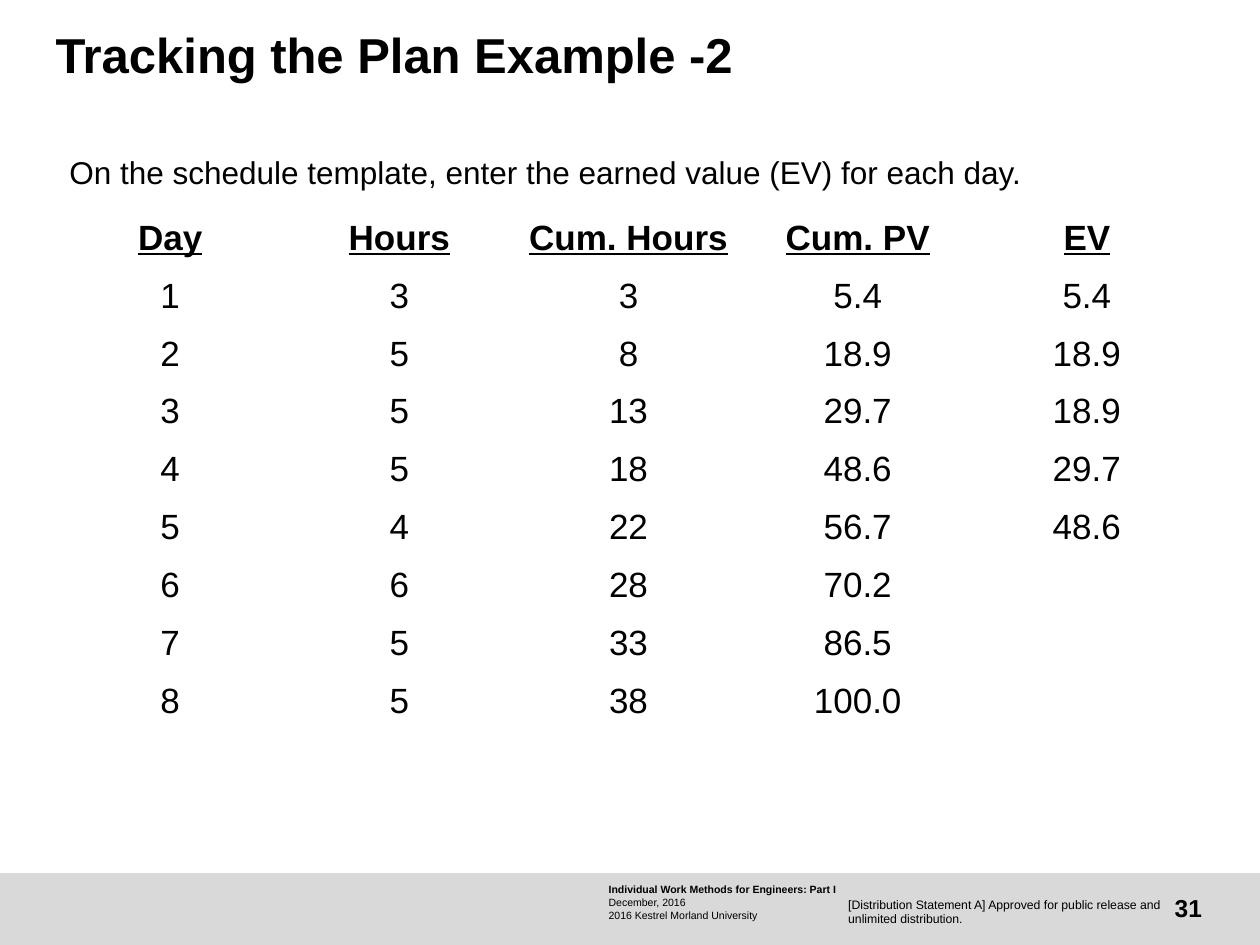
from dataclasses import dataclass

from pptx import Presentation
from pptx.dml.color import RGBColor
from pptx.enum.shapes import MSO_SHAPE as Shape
from pptx.enum.text import MSO_ANCHOR as Anchor, PP_ALIGN as Align
from pptx.slide import Slide
from pptx.util import Cm, Pt


@dataclass(frozen=True)
class Theme:
    font: str = "Arial"
    ink: RGBColor = RGBColor(0x00, 0x00, 0x00)
    paper: RGBColor = RGBColor(0xFF, 0xFF, 0xFF)
    footer: RGBColor = RGBColor(0xD9, 0xD9, 0xD9)
    title_size: int = 28
    body_size: int = 18
    table_size: int = 20
    number_size: int = 14
    statement_size: int = 7
    credit_size: int = 6


@dataclass(frozen=True)
class Box:
    left: float
    top: float
    width: float
    height: float

    def lengths(self) -> tuple[Cm, Cm, Cm, Cm]:
        return Cm(self.left), Cm(self.top), Cm(self.width), Cm(self.height)


@dataclass(frozen=True)
class TextBlock:
    box: Box
    lines: tuple[str, ...]
    size: int
    bold_lines: int = 0
    align: Align = Align.LEFT
    anchor: Anchor = Anchor.TOP
    spacing: float = 1.0
    inset_left: float = 0
    inset_top: float = 0


THEME = Theme()
FOOTER_BOX = Box(0, 17.6, 25.4, 1.45)
TABLE_BOX = Box(1.12, 4.22, 23.1, 10.5)

TEXT_BLOCKS = (
    TextBlock(
        Box(12.27, 17.81, 5.61, 0.76),
        (
            "Individual Work Methods for Engineers: Part I",
            "December, 2016",
            "2016 Kestrel Morland University",
        ),
        THEME.credit_size,
        bold_lines=1,
    ),
    TextBlock(
        Box(22.81, 17.78, 1.42, 1.02),
        ("31",),
        THEME.number_size,
        bold_lines=1,
        align=Align.RIGHT,
        anchor=Anchor.MIDDLE,
    ),
    TextBlock(
        Box(17.1, 18.08, 6.45, 0.61),
        ("[Distribution Statement A] Approved for public release and unlimited distribution.",),
        THEME.statement_size,
    ),
    TextBlock(
        Box(0.74, 3.02, 21, 1.19),
        ("On the schedule template, enter the earned value (EV) for each day.",),
        THEME.body_size,
        spacing=0.9,
        inset_left=0.66,
        inset_top=0.15,
    ),
    TextBlock(
        Box(1.12, 0.62, 21.1, 1.85),
        ("Tracking the Plan Example -2",),
        THEME.title_size,
        bold_lines=1,
        spacing=0.9,
    ),
)

SCHEDULE = (
    ("Day", "Hours", "Cum. Hours", "Cum. PV", "EV"),
    ("1", "3", "3", "5.4", "5.4"),
    ("2", "5", "8", "18.9", "18.9"),
    ("3", "5", "13", "29.7", "18.9"),
    ("4", "5", "18", "48.6", "29.7"),
    ("5", "4", "22", "56.7", "48.6"),
    ("6", "6", "28", "70.2", ""),
    ("7", "5", "33", "86.5", ""),
    ("8", "5", "38", "100.0", ""),
)


def format_runs(paragraph, size: int, bold: bool, underline: bool = False) -> None:
    for run in paragraph.runs:
        run.font.name = THEME.font
        run.font.size = Pt(size)
        run.font.bold = bold
        run.font.underline = underline
        run.font.color.rgb = THEME.ink


def draw_footer(slide: Slide) -> None:
    shape = slide.shapes.add_shape(Shape.RECTANGLE, *FOOTER_BOX.lengths())
    shape.shadow.inherit = False
    shape.fill.solid()
    shape.fill.fore_color.rgb = THEME.footer
    shape.line.fill.background()


def draw_text(slide: Slide, block: TextBlock) -> None:
    text_frame = slide.shapes.add_textbox(*block.box.lengths()).text_frame
    text_frame.word_wrap = True
    text_frame.vertical_anchor = block.anchor
    text_frame.margin_left = Cm(block.inset_left)
    text_frame.margin_top = Cm(block.inset_top)
    text_frame.margin_right = text_frame.margin_bottom = 0
    text_frame.text = "\n".join(block.lines)
    for index, paragraph in enumerate(text_frame.paragraphs):
        paragraph.alignment = block.align
        paragraph.line_spacing = block.spacing
        format_runs(paragraph, block.size, index < block.bold_lines)


def draw_schedule(slide: Slide, rows: tuple[tuple[str, ...], ...]) -> None:
    table = slide.shapes.add_table(len(rows), len(rows[0]), *TABLE_BOX.lengths()).table
    table.first_row = table.horz_banding = False
    for row_index, row in enumerate(rows):
        for column_index, text in enumerate(row):
            cell = table.cell(row_index, column_index)
            cell.fill.solid()
            cell.fill.fore_color.rgb = THEME.paper
            cell.margin_left = cell.margin_right = 0
            cell.margin_top = cell.margin_bottom = 0
            cell.vertical_anchor = Anchor.MIDDLE
            cell.text_frame.text = text
            paragraph = cell.text_frame.paragraphs[0]
            paragraph.alignment = Align.CENTER
            is_header = row_index == 0
            format_runs(paragraph, THEME.table_size, is_header, is_header)


def main() -> None:
    presentation = Presentation()
    presentation.slide_width = Cm(25.4)
    presentation.slide_height = Cm(19.05)
    slide = presentation.slides.add_slide(presentation.slide_layouts[6])
    draw_footer(slide)
    for block in TEXT_BLOCKS:
        draw_text(slide, block)
    draw_schedule(slide, SCHEDULE)
    presentation.save("out.pptx")


if __name__ == "__main__":
    main()
